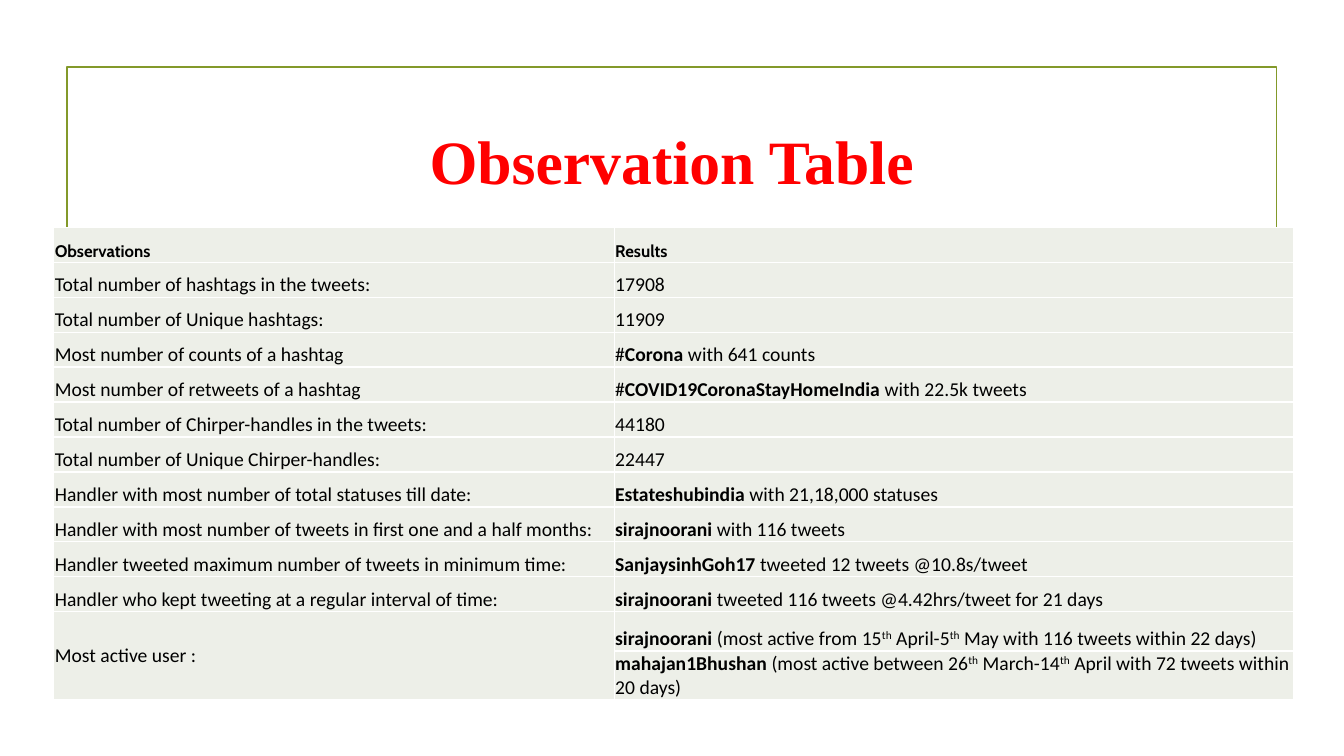
from lxml.etree import SubElement
from pptx import Presentation
from pptx.dml.color import RGBColor
from pptx.enum.shapes import MSO_SHAPE as Shape
from pptx.enum.text import MSO_ANCHOR as Anchor, PP_ALIGN as Align
from pptx.oxml.ns import qn
from pptx.util import Pt

COLORS = {"frame": "83992A", "title": "FF0000", "text": "000000",
          "cell": "EDEFE8", "border": "FFFFFF"}

# *...* marks bold text, ^...^ marks superscript
ROWS = [
    ("*Observations*", "*Results*"),
    ("Total number of hashtags in the tweets:", "17908"),
    ("Total number of Unique hashtags:", "11909"),
    ("Most number of counts of a hashtag", "#*Corona* with 641 counts"),
    ("Most number of retweets of a hashtag",
     "#*COVID19CoronaStayHomeIndia* with 22.5k tweets"),
    ("Total number of Chirper-handles in the tweets:", "44180"),
    ("Total number of Unique Chirper-handles:", "22447"),
    ("Handler with most number of total statuses till date:",
     "*Estateshubindia* with 21,18,000 statuses"),
    ("Handler with most number of tweets in first one and a half months:",
     "*sirajnoorani* with 116 tweets"),
    ("Handler tweeted maximum number of tweets in minimum time:",
     "*SanjaysinhGoh17* tweeted 12 tweets @10.8s/tweet"),
    ("Handler who kept tweeting at a regular interval of time:",
     "*sirajnoorani* tweeted 116 tweets @4.42hrs/tweet for 21 days"),
    ("Most active user :",
     "*sirajnoorani* (most active from 15^th^ April-5^th^ May"
     " with 116 tweets within 22 days)"),
    ("", "*mahajan1Bhushan* (most active between 26^th^ March-14^th^ April"
         " with 72 tweets within 20 days)"),
]


def color(name):
    return RGBColor.from_string(COLORS[name])


def write_marked(para, text, font_name, size):
    """Add text as runs, reading the bold and superscript marks."""
    for i, part in enumerate(text.split("*")):
        for j, piece in enumerate(part.split("^")):
            if not piece:
                continue
            span = para.add_run()
            span.text = piece
            span.font.name = font_name
            span.font.size = Pt(size)
            span.font.bold = i % 2 == 1
            span.font.color.rgb = color("text")
            if j % 2:
                span._r.get_or_add_rPr().set("baseline", "30000")


deck = Presentation()
deck.slide_width, deck.slide_height = Pt(960), Pt(540)
page = deck.slides.add_slide(deck.slide_layouts[6])

frame = page.shapes.add_shape(Shape.RECTANGLE, Pt(47.8), Pt(48), Pt(864), Pt(444))
frame.shadow.inherit = False
frame.fill.background()
frame.line.color.rgb = color("frame")
frame.line.width = Pt(1.25)

title = page.shapes.add_textbox(Pt(102), Pt(77), Pt(756), Pt(75))
title.text_frame.word_wrap = True
title.text_frame.vertical_anchor = Anchor.MIDDLE
para = title.text_frame.paragraphs[0]
para.text = "Observation Table"
para.alignment = Align.CENTER
font = para.runs[0].font
font.name, font.size, font.bold = "Times New Roman", Pt(44), True
font.color.rgb = color("title")

table = page.shapes.add_table(len(ROWS), 2, Pt(38.4), Pt(162.3), Pt(885.6), Pt(331)).table
table.first_row = table.horz_banding = False
table.columns[0].width, table.columns[1].width = Pt(400.3), Pt(485.3)

for r, texts in enumerate(ROWS):
    table.rows[r].height = Pt(25 if r < 11 else 28)
    for c, text in enumerate(texts):
        cell = table.cell(r, c)
        cell.margin_left = cell.margin_right = cell.margin_top = Pt(0.75)
        cell.margin_bottom = 0
        cell.vertical_anchor = Anchor.BOTTOM
        borders = cell._tc.get_or_add_tcPr()
        for side in ("a:lnL", "a:lnR", "a:lnT", "a:lnB"):
            line = SubElement(borders, qn(side), w=str(Pt(1)))
            fill = SubElement(line, qn("a:solidFill"))
            SubElement(fill, qn("a:srgbClr"), val=COLORS["border"])
        cell.fill.solid()
        cell.fill.fore_color.rgb = color("cell")
        font_name, size = ("Cabin", 12) if r == 0 else ("Calibri", 14)
        write_marked(cell.text_frame.paragraphs[0], text, font_name, size)

active_user = table.cell(11, 0)
active_user.merge(table.cell(12, 0))
active_user.vertical_anchor = Anchor.MIDDLE

deck.save("out.pptx")
